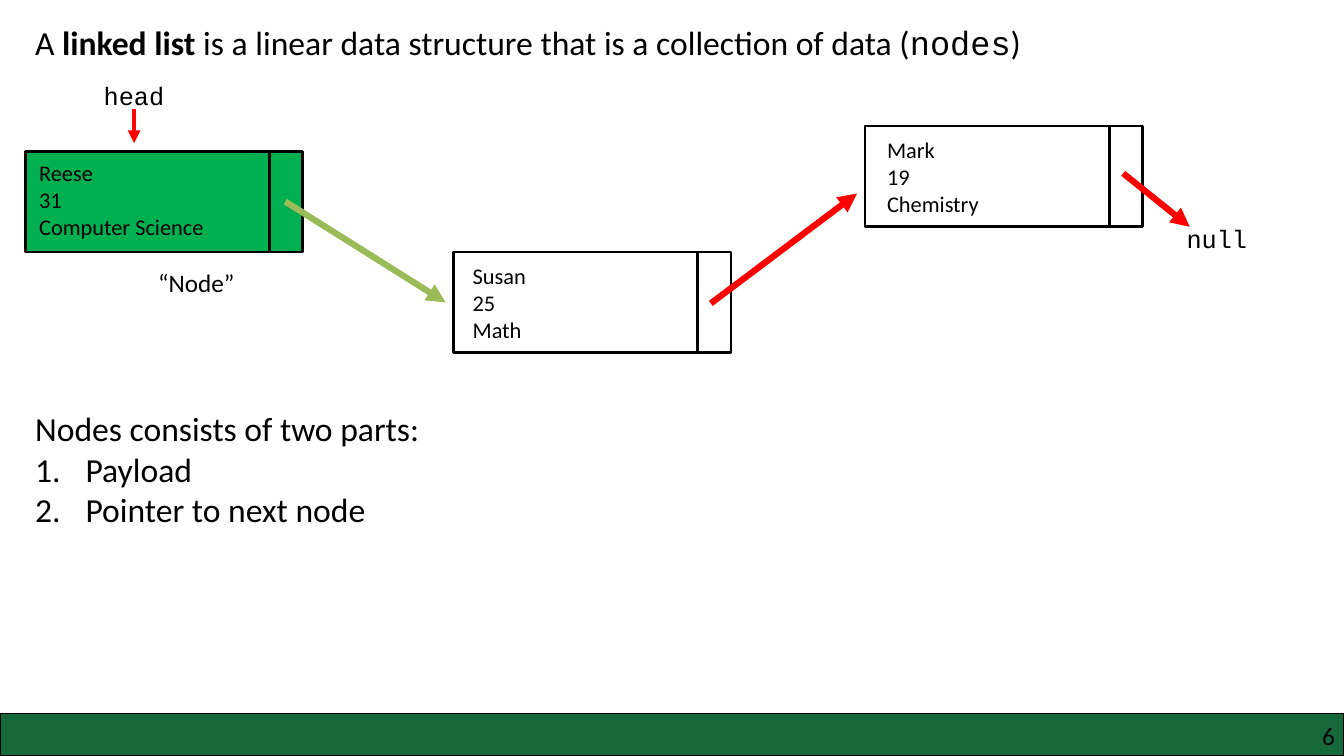
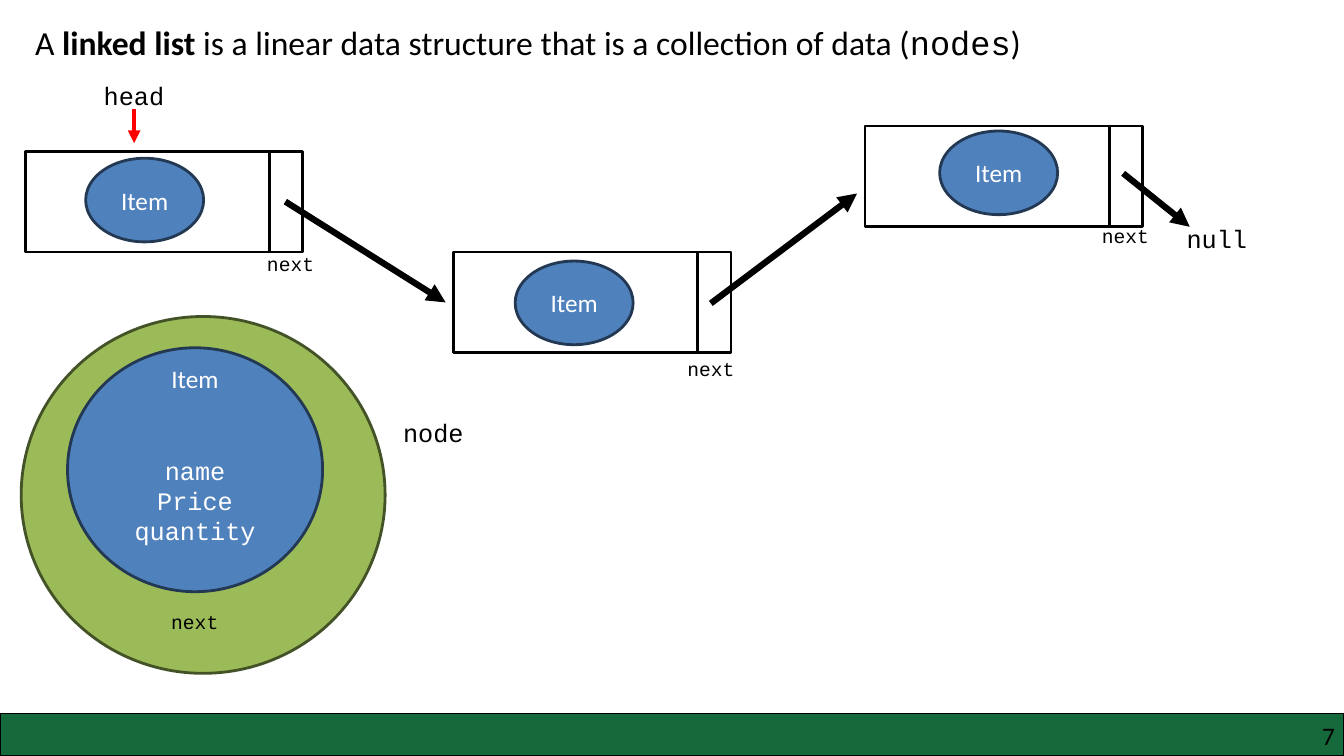
from dataclasses import dataclass

from lxml.etree import SubElement
from pptx import Presentation
from pptx.dml.color import RGBColor
from pptx.enum.shapes import MSO_CONNECTOR, MSO_SHAPE
from pptx.enum.text import MSO_ANCHOR, MSO_AUTO_SIZE, PP_ALIGN
from pptx.oxml.ns import qn
from pptx.util import Inches, Pt


@dataclass(frozen=True)
class Theme:
    black: str = "000000"
    white: str = "FFFFFF"
    band: str = "15693B"
    green: str = "00B050"
    olive: str = "9BBB59"
    olive_edge: str = "445227"
    blue: str = "4F81BD"
    blue_edge: str = "233953"
    red: str = "FF0000"
    body: str = "Calibri"
    code: str = "Courier New"
    title_size: int = 24
    label_size: int = 18
    payload_size: int = 16
    small_size: int = 14
    outline: float = 2
    divider: float = 2.25
    head_arrow: float = 3
    link_arrow: float = 4.5


THEME = Theme()
SLIDE_W, SLIDE_H = 13.33, 7.5
BAND_H = 0.42
NODE_W, NODE_H, POINTER_X = 2.75, 1, 2.42
ITEM_W, ITEM_H = 1.17, 0.83

NODES = [(0.25, 1.5), (4.5, 2.5), (8.58, 1.25)]
LINKS = [((2.83, 2), (4.42, 3)), ((7.05, 3.01), (8.5, 1.92)), ((11.14, 1.72), (11.8, 2.25))]

# Payload text, its offset inside the node, and its width
PAYLOADS = [
    ("Reese\n31\nComputer Science", (0.04, 0.03), 2.05),
    ("Susan\n25\nMath", (0.09, 0.05), 0.84),
    ("Mark\n19\nChemistry", (0.12, 0.05), 1.21),
]
# Offsets inside each node
ITEM_OFFSETS = [(0.6, 0.07), (0.61, 0.09), (0.74, 0.05)]
NEXT_OFFSETS = [(2.3, 0.95), (2.22, 0.99), (2.25, 0.92)]


# Basic parts
def style_runs(paragraph, size, font=THEME.body, color=THEME.black):
    for run in paragraph.runs:
        run.font.size = Pt(size)
        run.font.name = font
        run.font.color.rgb = RGBColor.from_string(color)


def add_label(slide, box, text, size=THEME.label_size, font=THEME.body, wrap=False):
    label = slide.shapes.add_textbox(*map(Inches, box))
    frame = label.text_frame
    frame.text = text
    frame.word_wrap = wrap
    frame.auto_size = MSO_AUTO_SIZE.SHAPE_TO_FIT_TEXT
    for paragraph in frame.paragraphs:
        style_runs(paragraph, size, font)
    return frame


def add_next(slide, left, top):
    add_label(slide, (left, top, 0.67, 0.34), "next", THEME.small_size, THEME.code)


def add_outlined(slide, kind, box, fill, edge=THEME.black, width=THEME.outline):
    shape = slide.shapes.add_shape(kind, *map(Inches, box))
    shape.shadow.inherit = False
    shape.fill.solid()
    shape.fill.fore_color.rgb = RGBColor.from_string(fill)
    shape.line.color.rgb = RGBColor.from_string(edge)
    shape.line.width = Pt(width)
    return shape


def add_line(slide, start, end, color, width, arrow=False):
    line = slide.shapes.add_connector(MSO_CONNECTOR.STRAIGHT, *map(Inches, (*start, *end)))
    line.line.color.rgb = RGBColor.from_string(color)
    line.line.width = Pt(width)
    if arrow:
        SubElement(line.line._get_or_add_ln(), qn("a:tailEnd"), type="triangle")
    SubElement(line._element.spPr, qn("a:effectLst"))


def add_item(slide, box, text="Item"):
    item = add_outlined(slide, MSO_SHAPE.OVAL, box, THEME.blue, THEME.blue_edge)
    frame = item.text_frame
    frame.text = text
    frame.word_wrap = True
    frame.vertical_anchor = MSO_ANCHOR.MIDDLE
    for index, paragraph in enumerate(frame.paragraphs):
        paragraph.alignment = PP_ALIGN.CENTER
        style_runs(paragraph, THEME.label_size, THEME.code if index else THEME.body, THEME.white)
    return frame


# Shared regions
def add_footer(slide, number):
    top = SLIDE_H - BAND_H
    add_outlined(slide, MSO_SHAPE.RECTANGLE, (0, top, SLIDE_W, BAND_H), THEME.band, width=1)
    frame = add_label(slide, (10.17, top + 0.07, 3.07, 0.3), str(number), wrap=True)
    frame.margin_left = frame.margin_right = frame.margin_top = frame.margin_bottom = 0
    frame.paragraphs[0].alignment = PP_ALIGN.RIGHT


def add_title(slide):
    frame = add_label(slide, (0.25, 0.17, 10.97, 0.5), "A ")
    sentence = frame.paragraphs[0]
    for text in ("linked list ", "is a linear data structure that is a collection of data (",
                 "nodes", ")"):
        sentence.add_run().text = text
    style_runs(sentence, THEME.title_size)
    sentence.runs[1].font.bold = True
    sentence.runs[3].font.name = THEME.code


def add_node(slide, left, top, fill):
    add_outlined(slide, MSO_SHAPE.RECTANGLE, (left, top, NODE_W, NODE_H), fill)
    pointer = left + POINTER_X
    add_line(slide, (pointer, top), (pointer, top + NODE_H), THEME.black, THEME.divider)


def add_linked_list(slide, fills, link_colors):
    for (left, top), fill in zip(NODES, fills):
        add_node(slide, left, top, fill)
    add_line(slide, (1.33, 1.08), (1.33, 1.42), THEME.red, THEME.head_arrow, arrow=True)
    add_label(slide, (0.93, 0.75, 0.81, 0.4), "head", font=THEME.code)
    for (start, end), color in zip(LINKS, link_colors):
        add_line(slide, start, end, color, THEME.link_arrow, arrow=True)
    add_label(slide, (11.67, 2.17, 0.81, 0.4), "null", font=THEME.code)


def add_list_slide(deck, number, fills, link_colors):
    slide = deck.slides.add_slide(deck.slide_layouts[6])
    add_footer(slide, number)
    add_title(slide)
    add_linked_list(slide, fills, link_colors)
    return slide


# Regions of the single slides
def add_node_parts(slide, left, top):
    frame = add_label(slide, (left, top, 4.41, 1.31),
                      "Nodes consists of two parts:\nPayload\nPointer to next node",
                      THEME.title_size)
    for part in frame.paragraphs[1:]:
        properties = part._p.get_or_add_pPr()
        properties.set("marL", str(Inches(0.5)))
        properties.set("indent", str(-Inches(0.5)))
        SubElement(properties, qn("a:buFont"), typeface="+mj-lt")
        SubElement(properties, qn("a:buAutoNum"), type="arabicPeriod")


def add_node_detail(slide, left, top):
    add_outlined(slide, MSO_SHAPE.OVAL, (left, top, 3.61, 3.54), THEME.olive, THEME.olive_edge)
    fields = add_item(slide, (left + 0.46, top + 0.31, 2.53, 2.42),
                      "Item\nname\nPrice\nquantity")
    fields.paragraphs[1].space_before = Pt(44)
    fields.margin_bottom = Inches(0.35)
    add_next(slide, left + 1.39, top + 2.86)
    add_label(slide, (left + 3.69, top + 0.95, 6.7, 0.4), "node", font=THEME.code, wrap=True)


# Slides
def build_people_slide(deck):
    slide = add_list_slide(deck, 6, (THEME.green, THEME.white, THEME.white),
                           (THEME.olive, THEME.red, THEME.red))
    for (left, top), (text, (dx, dy), width) in zip(NODES, PAYLOADS):
        add_label(slide, (left + dx, top + dy, width, 0.91), text, THEME.payload_size)
    add_label(slide, (1.47, 2.6, 0.98, 0.4), "“Node”")
    add_node_parts(slide, 0.25, 4)


def build_items_slide(deck):
    slide = add_list_slide(deck, 7, [THEME.white] * 3, [THEME.black] * 3)
    for (left, top), (item_dx, item_dy), (next_dx, next_dy) in zip(
            NODES, ITEM_OFFSETS, NEXT_OFFSETS):
        add_item(slide, (left + item_dx, top + item_dy, ITEM_W, ITEM_H))
        add_next(slide, left + next_dx, top + next_dy)
    add_node_detail(slide, 0.21, 3.14)


def main():
    deck = Presentation()
    deck.slide_width, deck.slide_height = Inches(SLIDE_W), Inches(SLIDE_H)
    build_people_slide(deck)
    build_items_slide(deck)
    deck.save("out.pptx")


if __name__ == "__main__":
    main()
